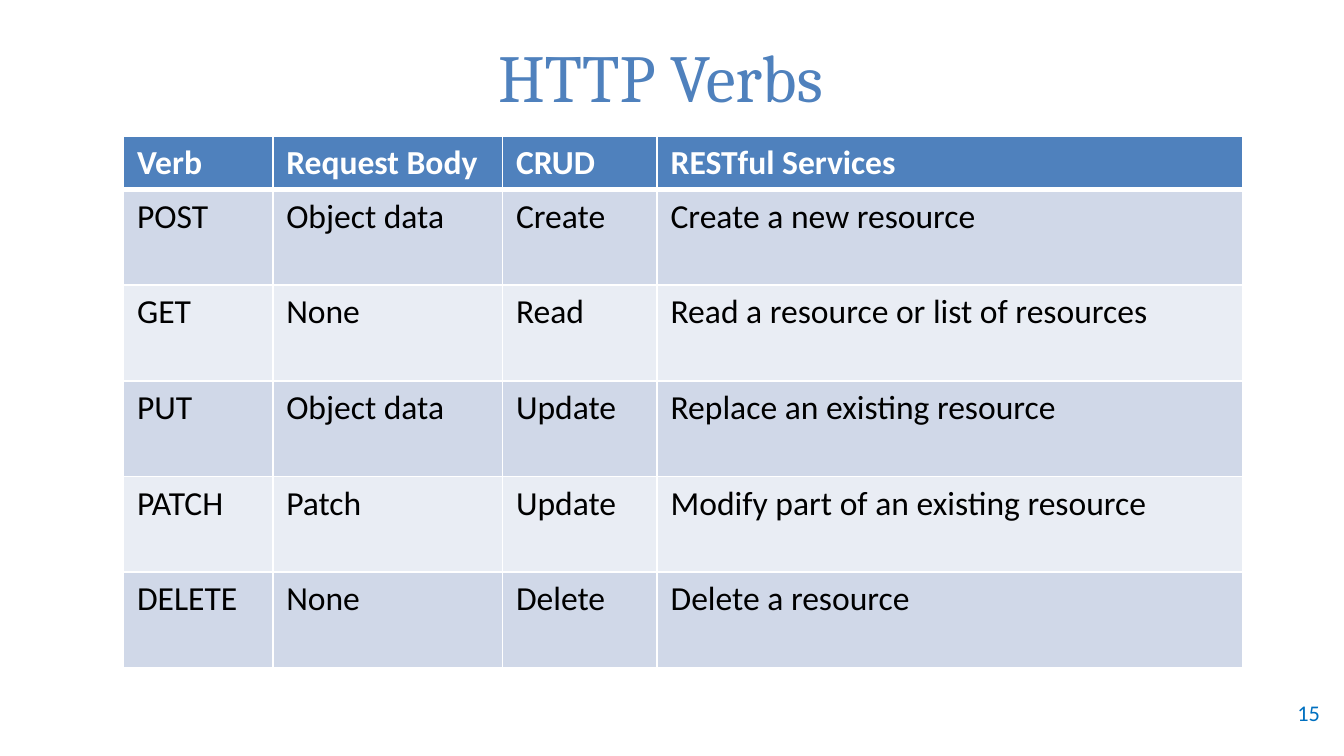
import lxml.etree
import pptx
import pptx.dml.color
import pptx.enum.text
import pptx.oxml.ns
import pptx.util
from pptx.util import Inches

BLUE, WHITE, BLACK = "4F81BD", "FFFFFF", "000000"
BAND_COLORS = ("D0D8E8", "E9EDF4")
COLUMN_WIDTHS = (1.11, 1.71, 1.15, 4.36)
TABLE_HEIGHT, HEADER_HEIGHT = 3.96, 0.4
VERB_ROWS = (
    ("Verb", "Request Body", "CRUD", "RESTful Services"),
    ("POST", "Object data", "Create", "Create a new resource"),
    ("GET", "None", "Read", "Read a resource or list of resources"),
    ("PUT", "Object data", "Update", "Replace an existing resource"),
    ("PATCH", "Patch", "Update", "Modify part of an existing resource"),
    ("DELETE", "None", "Delete", "Delete a resource"),
)


def color(value):
    return pptx.dml.color.RGBColor.from_string(value)


def write_text(text_frame, text, size, font_name, font_color, alignment=None, bold=False):
    text_frame.text = text
    paragraph = text_frame.paragraphs[0]
    paragraph.alignment = alignment
    paragraph.font.size = pptx.util.Pt(size)
    paragraph.font.name = font_name
    paragraph.font.bold = bold
    paragraph.font.color.rgb = color(font_color)


def add_title(slide, text):
    title = slide.shapes.title
    title.left, title.top = Inches(0.08), Inches(0.23)
    title.width, title.height = Inches(9.67), Inches(0.67)
    title.text_frame.vertical_anchor = pptx.enum.text.MSO_ANCHOR.MIDDLE
    write_text(title.text_frame, text, 36, "Cambria", BLUE, pptx.enum.text.PP_ALIGN.CENTER)


def add_page_number(slide, number):
    box = slide.shapes.add_textbox(Inches(9.25), Inches(5.15), Inches(0.67), Inches(0.3))
    box.text_frame.word_wrap = True
    box.text_frame.vertical_anchor = pptx.enum.text.MSO_ANCHOR.MIDDLE
    write_text(box.text_frame, number, 12, "Calibri", "0070C0", pptx.enum.text.PP_ALIGN.RIGHT)


def set_borders(cell, border_widths):
    """Draw white borders; border_widths maps each side to points."""
    properties = cell._tc.get_or_add_tcPr()
    for side, width in border_widths.items():
        line = lxml.etree.SubElement(
            properties, pptx.oxml.ns.qn("a:ln" + side), w=str(pptx.util.Pt(width)))
        fill = lxml.etree.SubElement(line, pptx.oxml.ns.qn("a:solidFill"))
        lxml.etree.SubElement(fill, pptx.oxml.ns.qn("a:srgbClr"), val=WHITE)


def add_verb_table(slide):
    table = slide.shapes.add_table(
        len(VERB_ROWS), len(COLUMN_WIDTHS), Inches(0.92), Inches(1.01),
        Inches(sum(COLUMN_WIDTHS)), Inches(TABLE_HEIGHT)).table
    for column, width in zip(table.columns, COLUMN_WIDTHS):
        column.width = Inches(width)

    # Body rows share the height below the header equally
    row_height = (TABLE_HEIGHT - HEADER_HEIGHT) / (len(VERB_ROWS) - 1)
    for row_index, texts in enumerate(VERB_ROWS):
        is_header = row_index == 0
        table.rows[row_index].height = Inches(HEADER_HEIGHT if is_header else row_height)
        fill_color = BLUE if is_header else BAND_COLORS[(row_index - 1) % 2]
        # A thicker rule separates the header from the body
        top_width = 3 if row_index == 1 else 1
        bottom_width = 3 if is_header else 1
        for column_index, text in enumerate(texts):
            cell = table.cell(row_index, column_index)
            set_borders(cell, {"L": 1, "R": 1, "T": top_width, "B": bottom_width})
            cell.fill.solid()
            cell.fill.fore_color.rgb = color(fill_color)
            write_text(cell.text_frame, text, 18, "Calibri",
                       WHITE if is_header else BLACK, bold=is_header)


def main():
    presentation = pptx.Presentation()
    # Widescreen, 16 to 9
    presentation.slide_width = Inches(10)
    presentation.slide_height = Inches(10 * 9 / 16)
    slide = presentation.slides.add_slide(presentation.slide_layouts[5])
    add_title(slide, "HTTP Verbs")
    add_page_number(slide, "15")
    add_verb_table(slide)
    presentation.save("out.pptx")


if __name__ == "__main__":
    main()
